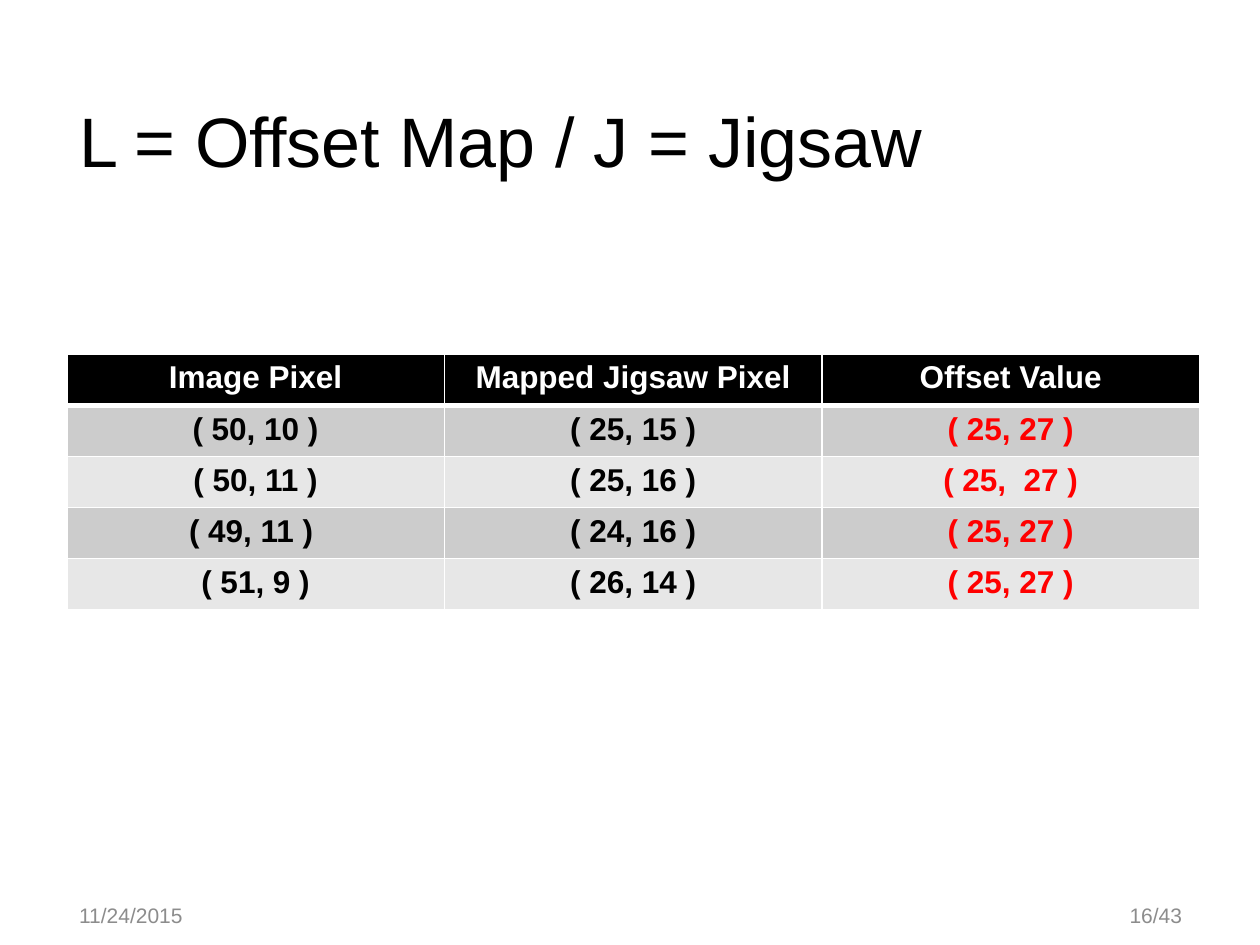
from lxml.etree import SubElement
from pptx import Presentation
from pptx.dml.color import RGBColor
from pptx.enum.text import MSO_ANCHOR, PP_ALIGN
from pptx.oxml.ns import qn
from pptx.util import Inches, Pt

COLORS = {
    "title": "000000", "header": "000000", "header_text": "FFFFFF",
    "body": "000000", "offset": "FF0000", "footer": "8C8C8C",
    "dark_band": "CCCCCC", "light_band": "E7E7E7", "border": "FFFFFF",
}


class SlideBuilder:
    font_name = "Arial"

    def __init__(self, slide):
        self.slide = slide

    def add_span(self, frame, text, color, size, align=PP_ALIGN.LEFT, bold=False):
        para = frame.paragraphs[0]
        para.alignment = align
        span = para.add_run()
        span.text = text
        formats = {"name": self.font_name, "size": Pt(size), "bold": bold}
        for name, value in formats.items():
            setattr(span.font, name, value)
        span.font.color.rgb = RGBColor.from_string(COLORS[color])

    def add_text(self, place, text, color, size, align=PP_ALIGN.LEFT,
                 anchor=MSO_ANCHOR.MIDDLE, bottom=0.05):
        box = self.slide.shapes.add_textbox(*map(Inches, place))
        formats = {"word_wrap": True, "vertical_anchor": anchor,
                   "margin_bottom": Inches(bottom)}
        for name, value in formats.items():
            setattr(box.text_frame, name, value)
        self.add_span(box.text_frame, text, color, size, align)

    def add_borders(self, cell, widths):
        properties = cell._tc.get_or_add_tcPr()
        for side, width in widths.items():
            line = SubElement(properties, qn(f"a:ln{side}"), w=str(Pt(width)))
            fill = SubElement(line, qn("a:solidFill"))
            SubElement(fill, qn("a:srgbClr"), val=COLORS["border"])

    def add_table(self, place, rows):
        left, top, width, height = map(Inches, place)
        table = self.slide.shapes.add_table(
            len(rows), len(rows[0]), left, top, width, height).table
        for row_index, row in enumerate(rows):
            header = row_index == 0
            band = "dark_band" if row_index % 2 else "light_band"
            for column_index, text in enumerate(row):
                cell = table.cell(row_index, column_index)
                self.add_borders(cell, {"L": 1, "R": 1,
                                        "T": 3 if row_index == 1 else 1,
                                        "B": 3 if header else 1})
                cell.fill.solid()
                cell.fill.fore_color.rgb = RGBColor.from_string(
                    COLORS["header" if header else band])
                body = "offset" if column_index == 2 else "body"
                self.add_span(cell.text_frame, text,
                              "header_text" if header else body,
                              18, PP_ALIGN.CENTER, True)


deck = Presentation()
deck.slide_width, deck.slide_height = Inches(10), Inches(7.5)
page = SlideBuilder(deck.slides.add_slide(deck.slide_layouts[6]))

# Title
page.add_text((0.53, 0.57, 8.99, 0.97), "L = Offset Map / J = Jigsaw", "title", 40,
              anchor=MSO_ANCHOR.BOTTOM, bottom=0.1)

# Pixel offsets
page.add_table((0.53, 2.81, 8.99, 2.03), [
    ("Image Pixel", "Mapped Jigsaw Pixel", "Offset Value"),
    ("( 50, 10 )", "( 25, 15 )", "( 25, 27 )"),
    ("( 50, 11 )", "( 25, 16 )", "( 25,  27 )"),
    ("( 49, 11 ) ", "( 24, 16 )", "( 25, 27 )"),
    ("( 51, 9 )", "( 26, 14 )", "( 25, 27 )"),
])

# Footer
for left, text, align in ((0.53, "11/24/2015", PP_ALIGN.LEFT),
                          (7.23, "16/43", PP_ALIGN.RIGHT)):
    page.add_text((left, 7.06, 2.25, 0.4), text, "footer", 12, align)

deck.save("out.pptx")
